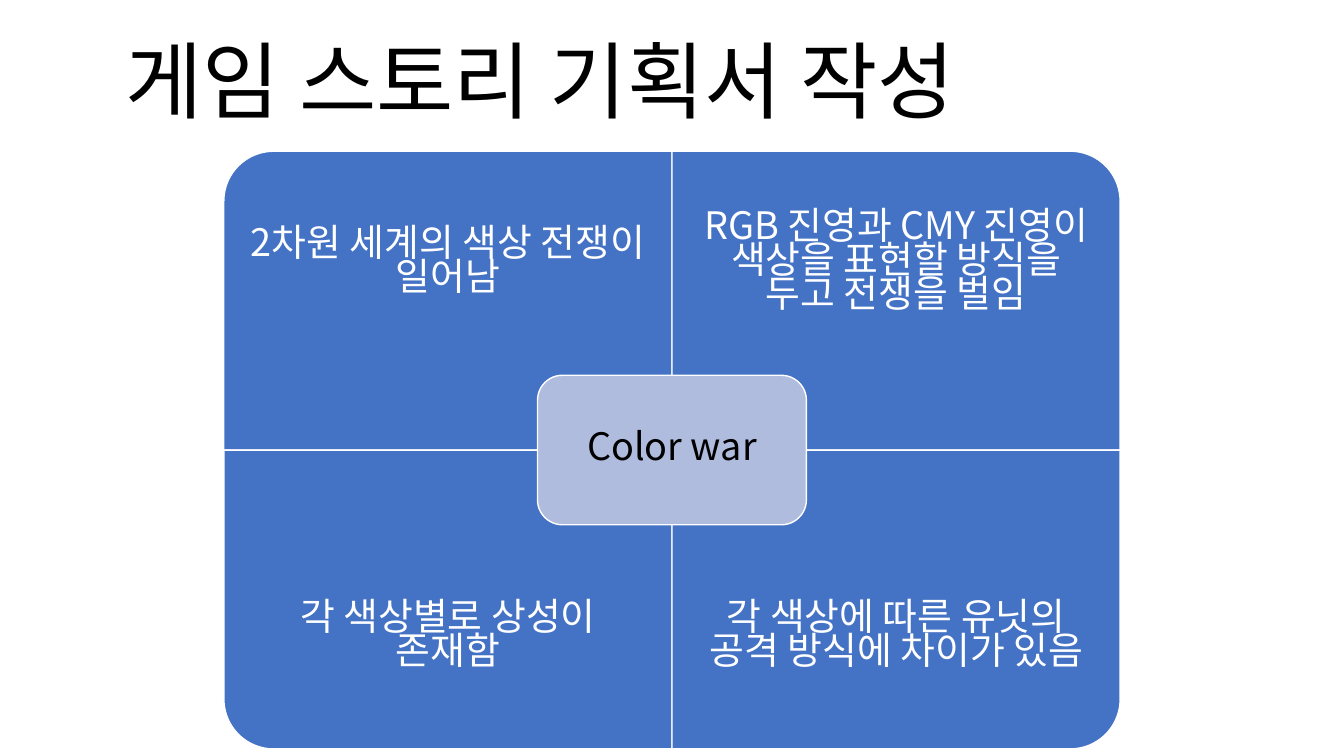
from pptx import Presentation
from pptx import util as u
from pptx.dml.color import RGBColor
from pptx.enum import shapes, text
from pptx.oxml import ns
from lxml import etree

FONT = "Noto Sans CJK KR"
BLUE, PALE, WHITE, BLACK = "4472C4", "B0BCDE", "FFFFFF", "000000"
STORY = [
    ["2차원 세계의 색상 전쟁이 일어남", "RGB 진영과 CMY 진영이 색상을 표현할 방식을 두고 전쟁을 벌임"],
    ["각 색상별로 상성이 존재함", "각 색상에 따른 유닛의 공격 방식에 차이가 있음"],
]
ROTATIONS = [[270, 0], [180, 90]]


def color(value):
    """Turn a hex string into a colour."""
    return RGBColor.from_string(value)


def write(frame, words, size, ink, anchor, spacing, inset):
    """Write one centred run into a text frame."""
    frame.word_wrap = True
    frame.auto_size = text.MSO_AUTO_SIZE.NONE
    frame.vertical_anchor = anchor
    frame.margin_left = frame.margin_right = u.Inches(inset)
    frame.margin_top = frame.margin_bottom = u.Inches(inset)
    paragraph = frame.paragraphs[0]
    paragraph.alignment = text.PP_ALIGN.CENTER
    paragraph.line_spacing = spacing
    run = paragraph.add_run()
    run.text = words
    run.font.size = u.Pt(size)
    run.font.name = FONT
    run.font.color.rgb = color(ink)
    east_asian = etree.SubElement(run.font._element, ns.qn("a:ea"))
    east_asian.set("typeface", FONT)


def add_panel(slide, kind, box, fill, rotation=0):
    """Draw a white-edged panel that fills the box after rotation."""
    left, top, width, height = box
    across, down = (height, width) if rotation % 180 else (width, height)
    shape = slide.shapes.add_shape(
        kind,
        u.Inches(left + (width - across) / 2),
        u.Inches(top + (height - down) / 2),
        u.Inches(across),
        u.Inches(down),
    )
    shape.rotation = rotation
    shape.shadow.inherit = False
    shape.fill.solid()
    shape.fill.fore_color.rgb = color(fill)
    shape.line.color.rgb = color(WHITE)
    shape.line.width = u.Pt(1)
    return shape


def add_title(slide, box, words):
    """Place the slide title in its placeholder."""
    title = slide.shapes.title
    title.left, title.top, title.width, title.height = map(u.Inches, box)
    write(title.text_frame, words, 60, BLACK, text.MSO_ANCHOR.BOTTOM, 0.9, 0.05)


def add_matrix(slide, box, story, center):
    """Draw four story quadrants around a central label."""
    left, top, width, height = box
    column, row = width / 2, height / 2
    for i, line in enumerate(story):
        for j, words in enumerate(line):
            x, y = left + j * column, top + i * row
            add_panel(slide, shapes.MSO_SHAPE.ROUND_1_RECTANGLE, (x, y, column, row), BLUE, ROTATIONS[i][j])
            label = slide.shapes.add_textbox(
                u.Inches(x), u.Inches(y + i * row / 4), u.Inches(column), u.Inches(row * 3 / 4)
            )
            write(label.text_frame, words, 27, WHITE, text.MSO_ANCHOR.MIDDLE, 0.75, 0.21)
    core = (left + column * 0.7, top + row * 0.75, column * 0.6, row / 2)
    hub = add_panel(slide, shapes.MSO_SHAPE.ROUNDED_RECTANGLE, core, PALE)
    write(hub.text_frame, center, 27, BLACK, text.MSO_ANCHOR.MIDDLE, 0.75, 0.11)


def main():
    """Build and save the story slide."""
    presentation = Presentation()
    presentation.slide_width = u.Inches(13.33)
    presentation.slide_height = u.Inches(7.5)
    slide = presentation.slides.add_slide(presentation.slide_layouts[5])
    add_matrix(slide, (2.22, 1.5, 8.89, 5.93), STORY, "Color war")
    add_title(slide, (-0.39, -0.1, 11.5, 1.45), "게임 스토리 기획서 작성")
    presentation.save("out.pptx")


if __name__ == "__main__":
    main()
